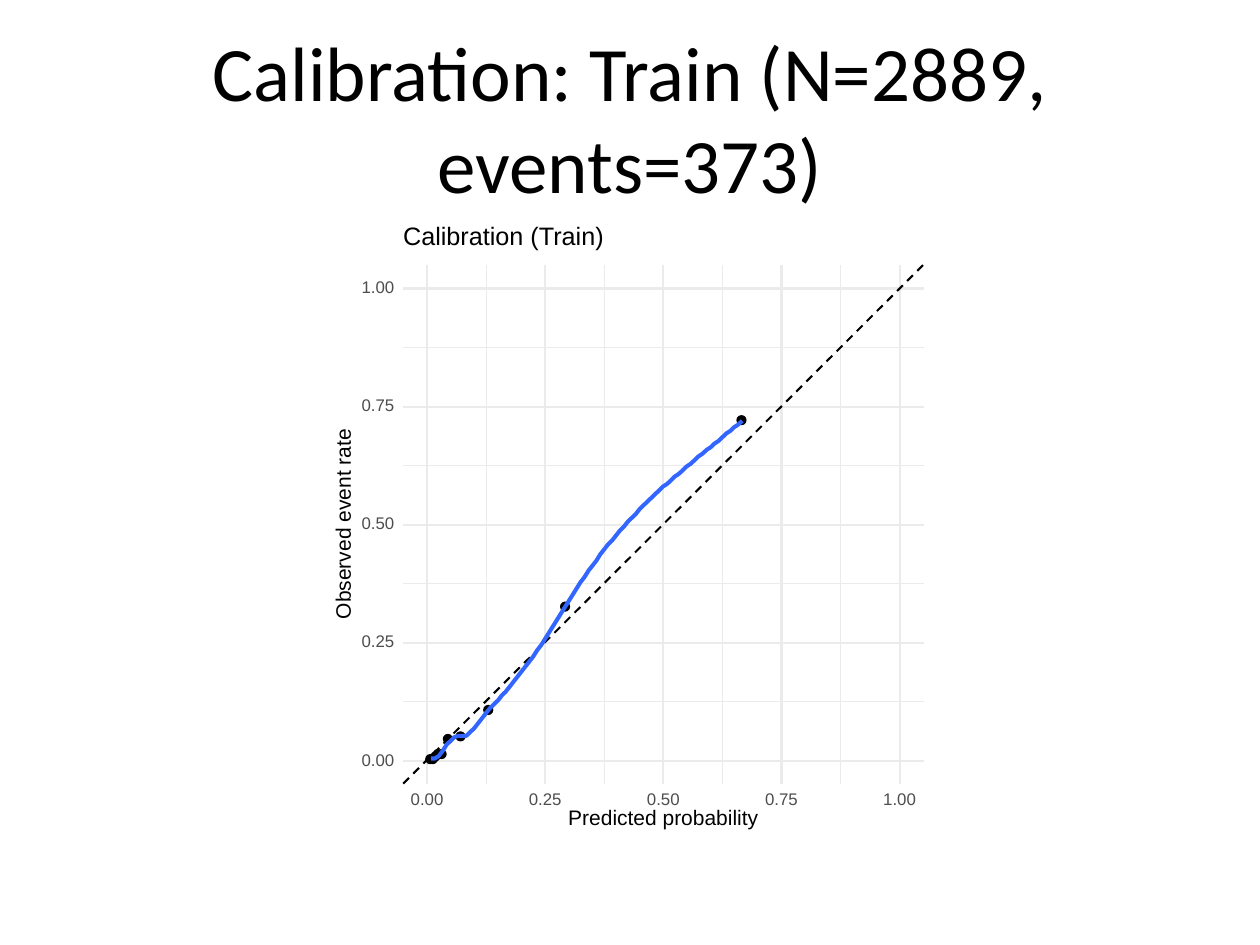
from dataclasses import dataclass

from lxml.etree import SubElement
from pptx import Presentation
from pptx.dml.color import RGBColor
from pptx.enum.dml import MSO_LINE
from pptx.enum.shapes import MSO_CONNECTOR, MSO_SHAPE
from pptx.enum.text import MSO_ANCHOR, PP_ALIGN
from pptx.oxml.ns import qn
from pptx.util import Inches, Pt


@dataclass(frozen=True)
class Theme:
    white: str = "FFFFFF"
    black: str = "000000"
    grid: str = "EBEBEB"
    tick: str = "4D4D4D"
    curve: str = "3366FF"
    title_font: str = "Calibri"
    plot_font: str = "Arial"
    title_size: float = 44
    heading_size: float = 14.4
    axis_size: float = 12
    tick_size: float = 9.6
    minor_width: float = 0.58
    major_width: float = 1.16
    curve_width: float = 2.33
    dot_width: float = 0.77
    frame_width: float = 0.75


THEME = Theme()

PANEL_LEFT, PANEL_RIGHT = 3.2, 7.33
PANEL_TOP, PANEL_BOTTOM = 2.1, 6.22
ORIGIN_X, ORIGIN_Y = 3.39, 6.04
UNIT = 3.75
MAJOR_VALUES = [step / 4 for step in range(5)]
MINOR_VALUES = [value + 0.125 for value in MAJOR_VALUES[:-1]]

DOT_SIZE = 0.07
DOT_CORNERS = [
    (3.38, 5.99), (3.4, 5.99), (3.42, 5.97), (3.44, 5.95), (3.47, 5.95),
    (3.52, 5.83), (3.62, 5.81), (3.84, 5.6), (4.45, 4.78), (5.85, 3.3),
]

CURVE_LEFT, CURVE_WIDTH = 3.42, 2.47
CURVE_HEIGHTS = [
    6.02, 6.02, 6, 5.96, 5.91, 5.88, 5.85, 5.84, 5.84, 5.84,
    5.81, 5.78, 5.74, 5.7, 5.66, 5.62, 5.59, 5.56, 5.52, 5.49,
    5.45, 5.41, 5.37, 5.33, 5.29, 5.25, 5.21, 5.16, 5.12, 5.07,
    5.02, 4.97, 4.92, 4.87, 4.82, 4.77, 4.72, 4.67, 4.62, 4.58,
    4.53, 4.49, 4.45, 4.4, 4.36, 4.32, 4.29, 4.25, 4.21, 4.18,
    4.14, 4.11, 4.08, 4.04, 4.01, 3.98, 3.95, 3.92, 3.89, 3.86,
    3.84, 3.81, 3.78, 3.76, 3.73, 3.7, 3.68, 3.65, 3.62, 3.6,
    3.57, 3.55, 3.52, 3.5, 3.47, 3.44, 3.42, 3.39, 3.37, 3.34,
]


def color_of(code):
    return RGBColor.from_string(code)


def x_of(value):
    return ORIGIN_X + UNIT * value


def y_of(value):
    return ORIGIN_Y - UNIT * value


def write_text(frame, text, *, size, color=THEME.black, font=THEME.plot_font,
               align=None, spacing=None):
    frame.vertical_anchor = MSO_ANCHOR.MIDDLE
    paragraph = frame.paragraphs[0]
    paragraph.alignment = align
    paragraph.line_spacing = spacing
    run = paragraph.add_run()
    run.text = text
    run.font.size = Pt(size)
    run.font.name = font
    run.font.color.rgb = color_of(color)


def add_label(plot, text, left, top, width, height, *, size,
              color=THEME.black, rotation=0):
    box = plot.shapes.add_textbox(
        Inches(left), Inches(top), Inches(width), Inches(height))
    box.rotation = rotation
    frame = box.text_frame
    frame.word_wrap = False
    frame.margin_left = frame.margin_right = 0
    frame.margin_top = frame.margin_bottom = 0
    write_text(frame, text, size=size, color=color, spacing=Pt(size))


def add_filled_shape(plot, kind, left, top, width, height, *, fill,
                     line_width=None):
    shape = plot.shapes.add_shape(
        kind, Inches(left), Inches(top), Inches(width), Inches(height))
    shape.shadow.inherit = False
    shape.fill.solid()
    shape.fill.fore_color.rgb = color_of(fill)
    if line_width is None:
        shape.line.fill.background()
    else:
        shape.line.color.rgb = color_of(fill)
        shape.line.width = Pt(line_width)


def add_line(plot, start, end, *, color, width, dash=None):
    line = plot.shapes.add_connector(
        MSO_CONNECTOR.STRAIGHT, *map(Inches, (*start, *end)))
    line.line.color.rgb = color_of(color)
    line.line.width = Pt(width)
    if dash is not None:
        line.line.dash_style = dash
    SubElement(line._element.spPr, qn("a:effectLst"))


def add_grid(plot, values, width):
    for value in values:
        add_line(plot, (PANEL_LEFT, y_of(value)), (PANEL_RIGHT, y_of(value)),
                 color=THEME.grid, width=width)
    for value in values:
        add_line(plot, (x_of(value), PANEL_BOTTOM), (x_of(value), PANEL_TOP),
                 color=THEME.grid, width=width)


def add_curve(plot):
    step = CURVE_WIDTH / (len(CURVE_HEIGHTS) - 1)
    points = [(Inches(CURVE_LEFT + step * index), Inches(height))
              for index, height in enumerate(CURVE_HEIGHTS)]
    builder = plot.shapes.build_freeform(*points[0])
    builder.add_line_segments(points[1:], close=False)
    curve = builder.convert_to_shape()
    curve.shadow.inherit = False
    curve.fill.background()
    curve.line.color.rgb = color_of(THEME.curve)
    curve.line.width = Pt(THEME.curve_width)


def add_tick_labels(plot):
    style = {"size": THEME.tick_size, "color": THEME.tick}
    for value in MAJOR_VALUES:
        add_label(plot, f"{value:.2f}", 2.87, y_of(value) - 0.05, 0.26, 0.1, **style)
    for value in MAJOR_VALUES:
        add_label(plot, f"{value:.2f}", x_of(value) - 0.13, 6.3, 0.26, 0.1, **style)


def add_title(slide, text):
    title = slide.shapes.title
    title.left, title.top = Inches(0.5), Inches(0.3)
    title.width, title.height = Inches(9), Inches(1.25)
    write_text(title.text_frame, text, size=THEME.title_size,
               font=THEME.title_font, align=PP_ALIGN.CENTER)


def add_calibration_plot(slide):
    plot = slide.shapes.add_group_shape()
    add_filled_shape(plot, MSO_SHAPE.RECTANGLE, 0.5, 1.75, 9, 4.95,
                     fill=THEME.white, line_width=THEME.frame_width)
    add_filled_shape(plot, MSO_SHAPE.RECTANGLE, 2.59, 1.75, 4.82, 4.95,
                     fill=THEME.white)
    add_grid(plot, MINOR_VALUES, THEME.minor_width)
    add_grid(plot, MAJOR_VALUES, THEME.major_width)
    add_line(plot, (PANEL_LEFT, PANEL_BOTTOM), (PANEL_RIGHT, PANEL_TOP),
             color=THEME.black, width=THEME.major_width, dash=MSO_LINE.DASH)
    for left, top in DOT_CORNERS:
        add_filled_shape(plot, MSO_SHAPE.OVAL, left, top, DOT_SIZE, DOT_SIZE,
                         fill=THEME.black, line_width=THEME.dot_width)
    add_curve(plot)
    add_tick_labels(plot)
    add_label(plot, "Predicted probability", 4.51, 6.43, 1.51, 0.15,
              size=THEME.axis_size)
    add_label(plot, "Observed event rate", 1.98, 4.1, 1.51, 0.12,
              size=THEME.axis_size, rotation=270)
    add_label(plot, "Calibration (Train)", PANEL_LEFT, 1.79, 1.6, 0.19,
              size=THEME.heading_size)


def main():
    presentation = Presentation()
    presentation.slide_width = Inches(10)
    presentation.slide_height = Inches(7.5)
    slide = presentation.slides.add_slide(presentation.slide_layouts[5])
    add_title(slide, "Calibration: Train (N=2889, events=373)")
    add_calibration_plot(slide)
    presentation.save("out.pptx")


if __name__ == "__main__":
    main()
